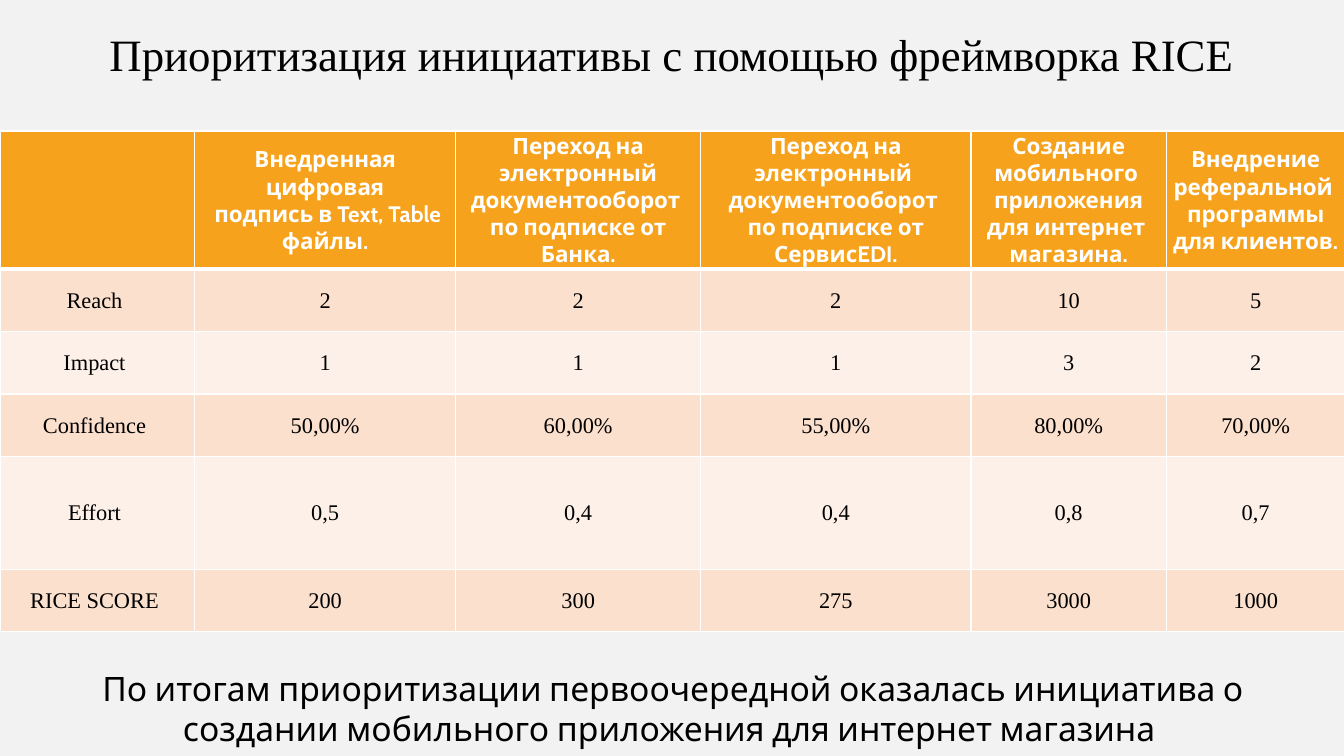
from lxml.etree import SubElement
from pptx import Presentation
from pptx.dml.color import RGBColor
from pptx.enum.text import MSO_ANCHOR, MSO_AUTO_SIZE, PP_ALIGN
from pptx.oxml.ns import qn
from pptx.util import Inches, Pt

TITLE = "Приоритизация инициативы с помощью фреймворка RICE"
CONCLUSION = ("По итогам приоритизации первоочередной оказалась инициатива о "
              "создании мобильного приложения для интернет магазина ")
INITIATIVES = [
    "",
    "Внедренная цифровая\n подпись в Text, Table файлы.",
    "Переход на электронный\nдокументооборот \nпо подписке от Банка.",
    "Переход на электронный \nдокументооборот \nпо подписке от СервисEDI.",
    "Создание мобильного \nприложения для интернет \nмагазина.",
    "Внедрение реферальной \nпрограммы для клиентов.",
]
SCORES = [
    ("Reach ", "2", "2", "2", "10", "5"),
    ("Impact ", "1", "1", "1", "3", "2"),
    ("Confidence ", "50,00%", "60,00%", "55,00%", "80,00%", "70,00%"),
    ("Effort ", "0,5", "0,4", "0,4", "0,8", "0,7"),
    ("RICE SCORE ", "200", "300", "275", "3000", "1000"),
]
COLUMNS = [1.93, 2.59, 2.43, 2.68, 1.94, 1.77]
ROWS = [1.37, 0.62, 0.62, 0.62, 1.12, 0.62]
SLIDE_WIDTH, SLIDE_HEIGHT = 13.33, 7.5
TITLE_BOX = (0, 0, SLIDE_WIDTH, 1.13)
TABLE_BOX = (0, 1.3, sum(COLUMNS), sum(ROWS))
CONCLUSION_BOX = (0.17, 6.57, 13.01, 0.91)

BACKGROUND, HEADER, BANDS = "F2F2F2", "F6A21D", ("FBE0CD", "FDF0E8")
WHITE, BLACK = "FFFFFF", "000000"
TITLE_FONT = {"name": "Times New Roman", "size": Pt(32), "bold": False}
HEADER_FONT = {"name": "Cabin", "size": Pt(16), "bold": True}
SCORE_FONT = {"name": "Times New Roman", "size": Pt(16), "bold": False}
CONCLUSION_FONT = {"name": "Cabin", "size": Pt(24), "bold": False}
CELL_FORMAT = {
    "vertical_anchor": MSO_ANCHOR.MIDDLE,
    "margin_left": Inches(0.01),
    "margin_right": Inches(0.01),
    "margin_top": Inches(0.01),
    "margin_bottom": 0,
}
FRAME_FORMAT = {
    "word_wrap": True,
    "auto_size": MSO_AUTO_SIZE.NONE,
    "vertical_anchor": MSO_ANCHOR.MIDDLE,
}


def apply(target, values):
    """Set each attribute in values on target."""
    for attribute, value in values.items():
        setattr(target, attribute, value)


def paint(fill, color):
    """Make a fill solid in a hex colour."""
    fill.solid()
    fill.fore_color.rgb = RGBColor.from_string(color)


def place(shape, box):
    """Move and size a shape to a box in inches."""
    apply(shape, dict(zip(("left", "top", "width", "height"), map(Inches, box))))


def write(frame, text, font, color, spacing=1.0):
    """Fill a text frame with centred paragraphs."""
    frame.text = text
    for paragraph in frame.paragraphs:
        apply(paragraph, {"alignment": PP_ALIGN.CENTER, "line_spacing": spacing})
        for run in paragraph.runs:
            apply(run.font, font)
            run.font.color.rgb = RGBColor.from_string(color)


def border(cell, widths):
    """Draw white cell borders with widths in points by side."""
    for side, width in widths.items():
        line = SubElement(cell._tc.get_or_add_tcPr(), qn(f"a:ln{side}"), w=str(Pt(width)))
        SubElement(SubElement(line, qn("a:solidFill")), qn("a:srgbClr"), val=WHITE)


def add_scores(slide):
    """Add the table of initiatives and their RICE scores."""
    grid = [INITIATIVES, *SCORES]
    table = slide.shapes.add_table(len(ROWS), len(COLUMNS), *map(Inches, TABLE_BOX)).table
    for column, width in zip(table.columns, COLUMNS):
        column.width = Inches(width)
    for index, (row, height, texts) in enumerate(zip(table.rows, ROWS, grid)):
        row.height = Inches(height)
        is_header = index == 0
        background = HEADER if is_header else BANDS[(index - 1) % 2]
        font, color = (HEADER_FONT, WHITE) if is_header else (SCORE_FONT, BLACK)
        for cell, text in zip(row.cells, texts):
            border(cell, {"L": 1, "R": 1, "T": 3 if index == 1 else 1, "B": 3 if is_header else 1})
            paint(cell.fill, background)
            apply(cell, CELL_FORMAT)
            write(cell.text_frame, text, font, color)


def main():
    """Build the slide and save it."""
    deck = Presentation()
    apply(deck, {"slide_width": Inches(SLIDE_WIDTH), "slide_height": Inches(SLIDE_HEIGHT)})
    slide = deck.slides.add_slide(deck.slide_layouts.get_by_name("Title Only"))
    paint(slide.background.fill, BACKGROUND)

    title = slide.shapes.title
    place(title, TITLE_BOX)
    apply(title.text_frame, FRAME_FORMAT)
    write(title.text_frame, TITLE, TITLE_FONT, BLACK, 0.9)

    add_scores(slide)

    conclusion = slide.shapes.add_textbox(*map(Inches, CONCLUSION_BOX))
    apply(conclusion.text_frame, FRAME_FORMAT)
    write(conclusion.text_frame, CONCLUSION, CONCLUSION_FONT, BLACK)

    deck.save("out.pptx")


if __name__ == "__main__":
    main()
